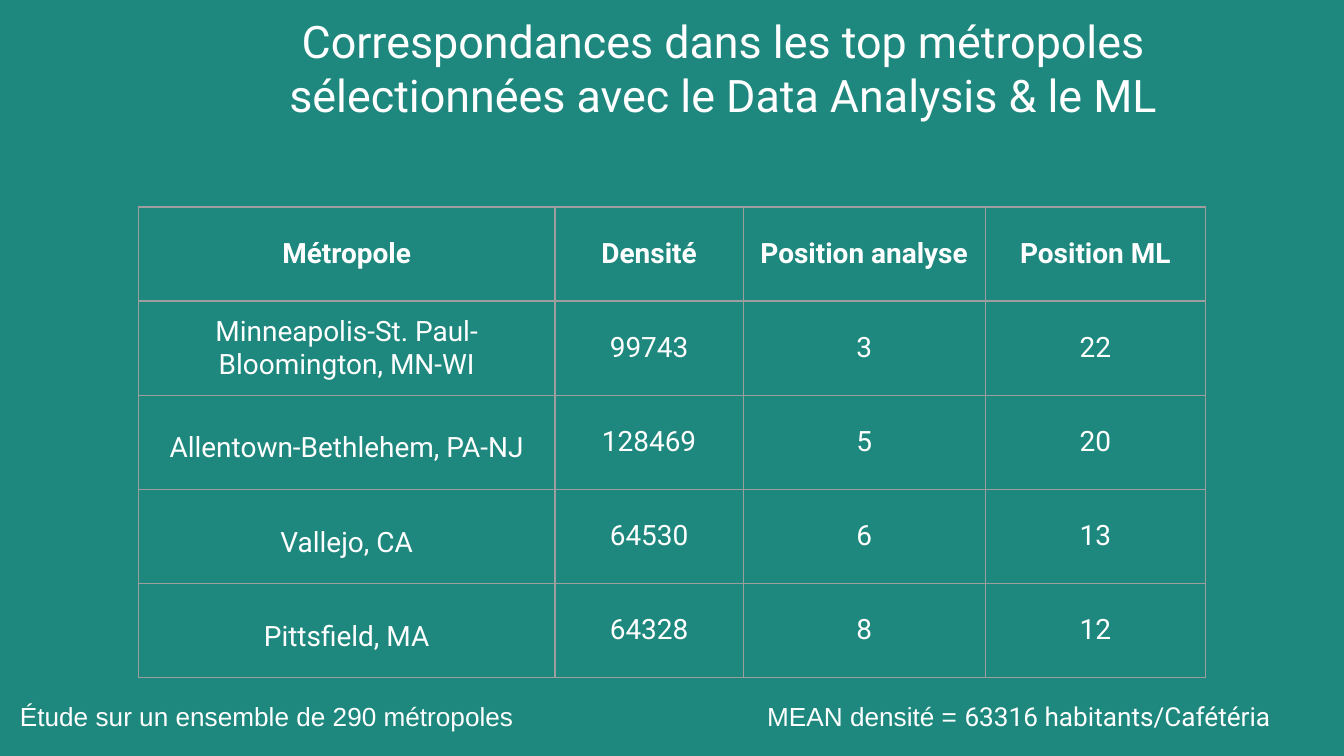
from dataclasses import dataclass

from lxml.etree import SubElement as Sub
from pptx import Presentation
from pptx.dml.color import RGBColor as RGB
from pptx.enum.text import MSO_ANCHOR as Anchor, PP_ALIGN as Align
from pptx.oxml.ns import qn
from pptx.util import Inches, Pt


@dataclass(frozen=True)
class Theme:
    back: str = "1F887E"
    ink: str = "FFFFFF"
    rule: str = "9E9E9E"
    head: str = "Roboto"
    body: str = "Arial"
    title: int = 24
    cell: int = 15
    note: int = 14


T = Theme()


def add_run(para, text, size, font, bold=False):
    run = para.add_run()
    run.text = text
    run.font.size = Pt(size)
    run.font.name = font
    run.font.bold = bold
    run.font.color.rgb = RGB.from_string(T.ink)


def add_rules(cell):
    """Draw a thin line on all four sides of a cell."""
    props = cell._tc.get_or_add_tcPr()
    for side in ("lnL", "lnR", "lnT", "lnB"):
        line = Sub(props, qn(f"a:{side}"), w=str(Pt(0.75)))
        fill = Sub(line, qn("a:solidFill"))
        Sub(fill, qn("a:srgbClr"), val=T.rule)


# A 16:9 slide
prs = Presentation()
prs.slide_width = Inches(10)
prs.slide_height = Inches(10 * 9 / 16)
slide = prs.slides.add_slide(prs.slide_layouts[6])
slide.background.fill.solid()
slide.background.fill.fore_color.rgb = RGB.from_string(T.back)

# Table of metro areas
rows = [
    ("Métropole", "Densité", "Position analyse", "Position ML"),
    ("Minneapolis-St. Paul-Bloomington, MN-WI", "99743", "3", "22"),
    ("Allentown-Bethlehem, PA-NJ", "128469", "5", "20"),
    ("Vallejo, CA", "64530", "6", "13"),
    ("Pittsfield, MA", "64328", "8", "12"),
]
widths = [3.1, 1.4, 1.8, 1.64]
high = 0.7
pad = Inches(0.1)

table = slide.shapes.add_table(
    len(rows), len(widths), Inches(1.03), Inches(1.54),
    Inches(sum(widths)), Inches(high * len(rows))).table
table.first_row = table.horz_banding = False
for col, width in zip(table.columns, widths):
    col.width = Inches(width)

for r, row in enumerate(rows):
    table.rows[r].height = Inches(high)
    for c, text in enumerate(row):
        cell = table.cell(r, c)
        add_rules(cell)
        cell.fill.background()
        cell.vertical_anchor = Anchor.MIDDLE
        cell.margin_left = cell.margin_right = pad
        cell.margin_top = cell.margin_bottom = pad
        para = cell.text_frame.paragraphs[0]
        para.alignment = Align.CENTER
        if c == 0 and r > 1:
            para.line_spacing = 1.38
        add_run(para, text, T.cell, T.head, bold=r == 0)

# Title and footnotes: place, alignment, size, runs
texts = [
    ((1.12, 0, 8.52, 1.01), Align.CENTER, T.title,
     [("Correspondances dans les top métropoles sélectionnées "
       "avec le Data Analysis & le ML", T.head)]),
    ((5.61, 5.11, 4.09, 0.44), Align.LEFT, T.note,
     [("MEAN densité = ", T.body), ("63316 habitants/Cafétéria", T.head)]),
    ((0.05, 5.11, 4.15, 0.44), Align.LEFT, T.note,
     [("Étude sur un ensemble de 290 métropoles", T.body)]),
]
for place, align, size, runs in texts:
    frame = slide.shapes.add_textbox(*map(Inches, place)).text_frame
    frame.word_wrap = True
    frame.margin_left = frame.margin_right = pad
    frame.margin_top = frame.margin_bottom = pad
    para = frame.paragraphs[0]
    para.alignment = align
    for text, font in runs:
        add_run(para, text, size, font)

prs.save("out.pptx")
